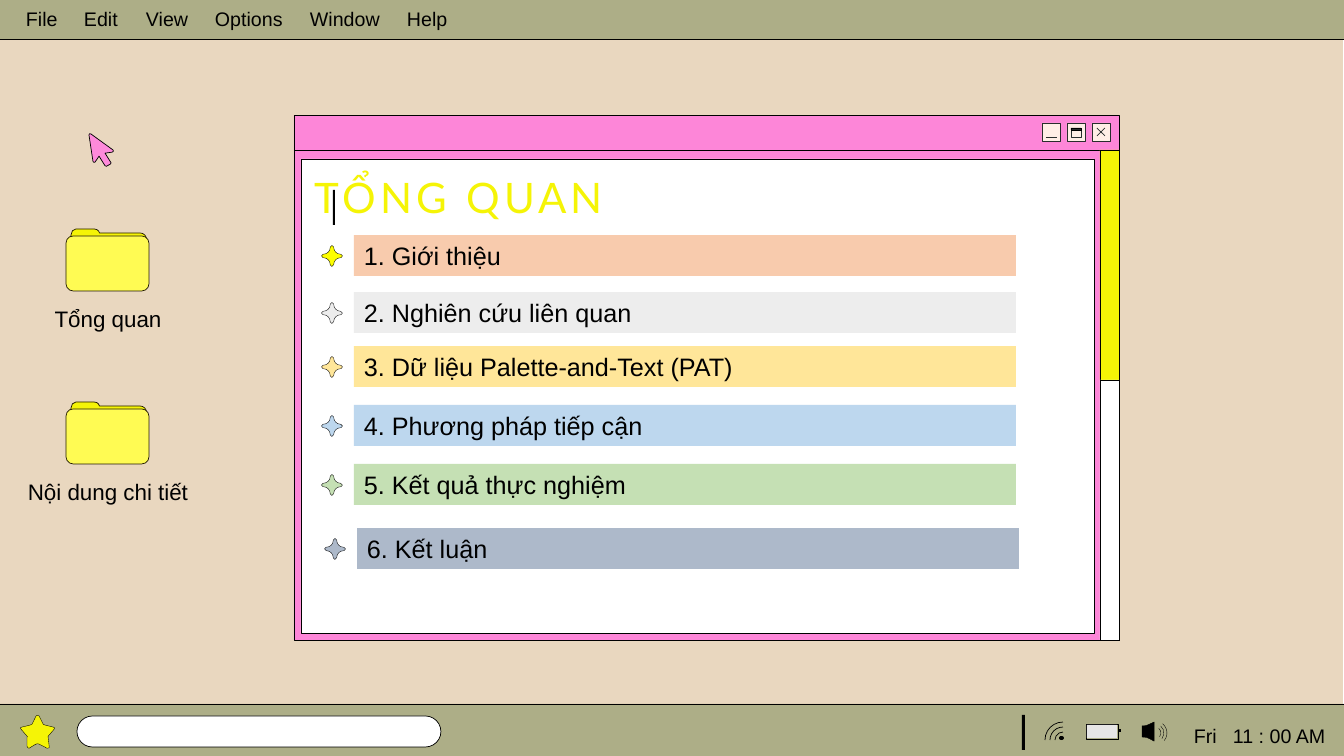
"""Builds the retro desktop slide with the agenda window."""
import pptx
import pptx.dml.color
import pptx.enum.shapes
import pptx.enum.text
import pptx.oxml
import pptx.oxml.ns
import pptx.util
from lxml import etree

RGBColor = pptx.dml.color.RGBColor
SHAPE = pptx.enum.shapes.MSO_SHAPE
ALIGN = pptx.enum.text.PP_ALIGN

PX = 12192000 / 1344
BLACK = RGBColor(0x00, 0x00, 0x00)
WHITE = RGBColor(0xFF, 0xFF, 0xFF)
SAND = RGBColor(0xE9, 0xD7, 0xBF)
OLIVE = RGBColor(0xAD, 0xAE, 0x87)
PINK = RGBColor(0xFD, 0x86, 0xD8)
CURSOR_PINK = RGBColor(0xFE, 0x8A, 0xDA)
YELLOW = RGBColor(0xF5, 0xF4, 0x06)
FOLDER_YELLOW = RGBColor(0xFF, 0xFB, 0x53)
FOLDER_EDGE = RGBColor(0x21, 0x19, 0x00)
BUTTON = RGBColor(0xFF, 0xEE, 0xE6)
GLYPH = RGBColor(0x29, 0x2D, 0x2D)
CHARGE = RGBColor(0xE7, 0xE6, 0xE6)
SPARK_YELLOW = RGBColor(0xFD, 0xFE, 0x00)
PEACH = RGBColor(0xF8, 0xCB, 0xAD)
PALE_GREY = RGBColor(0xED, 0xED, 0xED)
GOLD = RGBColor(0xFF, 0xE6, 0x99)
SKY = RGBColor(0xBD, 0xD7, 0xEE)
LEAF = RGBColor(0xC5, 0xE0, 0xB4)
SLATE = RGBColor(0xAD, 0xB9, 0xCA)

FOLDER_BACK = [
    (70, 0), (250, 0), ((270, 0), (290, 10), (295, 20)), (305, 40), (706, 40),
    ((750, 40), (776, 70), (776, 110)), (776, 515),
    ((776, 555), (746, 585), (706, 585)), (70, 585),
    ((30, 585), (0, 555), (0, 515)), (0, 110), ((0, 100), (0, 90), (10, 80)),
    (20, 70), (20, 60), ((20, 30), (40, 0), (70, 0))]
CURSOR = [
    (242, 171), (20, 10), ((10, 0), (0, 10), (0, 20)), (40, 282),
    ((40, 292), (50, 295), (60, 292)), (101, 232), (161, 328),
    ((165, 333), (170, 333), (175, 333)), (212, 312),
    ((222, 302), (222, 302), (222, 300)), (161, 202), (232, 192),
    ((242, 192), (246, 180), (242, 171))]
STAR = [
    (333, 121), (252, 101), ((242, 101), (232, 91), (232, 91)), (192, 10),
    ((181, 0), (161, 0), (161, 10)), (121, 91),
    ((111, 91), (111, 101), (101, 101)), (20, 121),
    ((0, 121), (0, 131), (10, 141)), (71, 212),
    ((71, 212), (81, 222), (71, 222)), (71, 312),
    ((71, 323), (81, 333), (91, 333)), (141, 302),
    ((181, 282), (171, 282), (212, 302)), (272, 333),
    ((292, 333), (302, 323), (292, 312)), (282, 222), (282, 212), (343, 141),
    ((353, 131), (343, 121), (333, 121))]
SPEAKER = [
    (121, 192), ((81, 182), (81, 151), (0, 151)), (0, 40),
    ((71, 40), (81, 10), (121, 0))]
SPARK_ARM = [
    ((-105, 10), (-97, 17), (-88, 17)), ((-45, 17), (-17, 50), (-17, 90)),
    ((-17, 100), (-9, 105), (0, 105))]
SPARKLE = [(-105, 0)] + SPARK_ARM + [
    tuple((x * cos + y * sin, y * cos - x * sin) for x, y in curve)
    for cos, sin in ((0, 1), (-1, 0), (0, -1)) for curve in SPARK_ARM]

AGENDA = [
    ("1. Giới thiệu", 354, 235, PEACH, SPARK_YELLOW),
    ("2. Nghiên cứu liên quan", 354, 292, PALE_GREY, PALE_GREY),
    ("3. Dữ liệu Palette-and-Text (PAT)", 354, 346, GOLD, GOLD),
    ("4. Phương pháp tiếp cận", 354, 405, SKY, SKY),
    ("5. Kết quả thực nghiệm", 354, 464, LEAF, LEAF),
    ("6. Kết luận", 357, 528, SLATE, SLATE)]


def px(length):
    return pptx.util.Emu(round(length * PX))


def paint(shape, fill, edge, weight):
    shape.shadow.inherit = False
    if fill is None:
        shape.fill.background()
    else:
        shape.fill.solid()
        shape.fill.fore_color.rgb = fill
    if edge is None:
        shape.line.fill.background()
    else:
        shape.line.color.rgb = edge
        shape.line.width = pptx.util.Pt(weight)
    return shape


def add_box(canvas, left, top, width, height, fill=None, edge=BLACK, weight=0.5, kind=SHAPE.RECTANGLE):
    box = canvas.add_shape(kind, px(left), px(top), px(width), px(height))
    return paint(box, fill, edge, weight)


def add_rule(canvas, x1, y1, x2, y2, color=BLACK, weight=0.5):
    rule = canvas.add_connector(pptx.enum.shapes.MSO_CONNECTOR.STRAIGHT, px(x1), px(y1), px(x2), px(y2))
    rule.line.color.rgb = color
    rule.line.width = pptx.util.Pt(weight)
    etree.SubElement(rule._element.spPr, pptx.oxml.ns.qn("a:effectLst"))


def add_outline(canvas, left, top, outline, fill, edge=BLACK, weight=0.5):
    """Draws lines and cubic curves given in tenths of a px."""
    parts = [part if isinstance(part[0], tuple) else (part,) for part in outline[1:]]
    builder = canvas.build_freeform(*outline[0], scale=PX / 10)
    builder.add_line_segments([point for part in parts for point in part], close=True)
    shape = paint(builder.convert_to_shape(px(left), px(top)), fill, edge, weight)
    segments = iter(list(shape._element.iter(pptx.oxml.ns.qn("a:lnTo"))))
    for part in parts:
        first, *others = [next(segments) for _ in part]
        if others:
            first.tag = pptx.oxml.ns.qn("a:cubicBezTo")
            for other in others:
                first.append(other[0])
                other.getparent().remove(other)


def add_arcs(canvas, center_x, center_y, radii, rotation, weight):
    for radius in radii:
        arc = add_box(canvas, center_x - radius, center_y - radius, 2 * radius, 2 * radius,
                      weight=weight, kind=SHAPE.ARC)
        arc.rotation = rotation


def write(shape, text, size, color=BLACK, font="Arial", align=ALIGN.LEFT, tabs=()):
    frame = shape.text_frame
    frame.word_wrap = True
    frame.vertical_anchor = pptx.enum.text.MSO_ANCHOR.MIDDLE
    paragraph = frame.paragraphs[0]
    paragraph.alignment = align
    if tabs:
        stops = etree.SubElement(paragraph._p.get_or_add_pPr(), pptx.oxml.ns.qn("a:tabLst"))
        for stop in tabs:
            etree.SubElement(stops, pptx.oxml.ns.qn("a:tab"), pos=str(px(stop)), algn="l")
    run = paragraph.add_run()
    run.text = text
    run.font.name = font
    run.font.size = pptx.util.Pt(size)
    run.font.color.rgb = color
    return run


def add_label(canvas, left, top, width, height, text, size, **style):
    label = canvas.add_textbox(px(left), px(top), px(width), px(height))
    return write(label, text, size, **style)


def add_folder(canvas, top, name):
    add_label(canvas, 10, top + 71, 196, 37, name, 16, align=ALIGN.CENTER)
    add_outline(canvas, 69, top, FOLDER_BACK, YELLOW, FOLDER_EDGE)
    front = add_box(canvas, 66, top + 7, 83, 55, FOLDER_YELLOW, FOLDER_EDGE, kind=SHAPE.ROUNDED_RECTANGLE)
    front.adjustments[0] = 0.13


def add_window(canvas):
    add_box(canvas, 294, 115, 825, 525, PINK)
    add_rule(canvas, 294, 150, 1119, 150)
    add_rule(canvas, 1100, 640, 1100, 150)
    add_box(canvas, 301, 159, 793, 474, WHITE)
    add_box(canvas, 1100, 150, 19, 230, YELLOW)
    add_box(canvas, 1100, 380, 19, 260, WHITE)
    for left in (1042, 1067, 1092):
        add_box(canvas, left, 123, 18, 18, BUTTON, GLYPH)
    add_rule(canvas, 1046, 137, 1057, 137, GLYPH)
    add_box(canvas, 1071, 128, 10, 9, edge=GLYPH)
    add_box(canvas, 1071, 128, 10, 2, GLYPH)
    add_rule(canvas, 1097, 128, 1105, 136, GLYPH)
    add_rule(canvas, 1105, 128, 1097, 136, GLYPH)


def add_menu_bar(canvas):
    add_box(canvas, -7, -10, 1353, 49, OLIVE)
    menu = add_box(canvas, -16, 2, 506, 34, OLIVE, None)
    menu.text_frame.margin_left = px(42)
    write(menu, "File\tEdit\tView\tOptions\tWindow\tHelp", 14, tabs=(58, 120, 189, 284, 381))


def add_taskbar(canvas):
    add_box(canvas, -1, 704, 1347, 55, OLIVE)
    add_outline(canvas, 20, 715, STAR, YELLOW, weight=0.25)
    search = add_box(canvas, 77, 716, 364, 31, WHITE, kind=SHAPE.ROUNDED_RECTANGLE)
    search.adjustments[0] = 0.5
    add_label(canvas, 1184, 719, 160, 34, "Fri\t11 : 00 AM", 14, tabs=(39,))
    add_arcs(canvas, 1063, 740, (8, 13, 18), 270, 0.5)
    add_box(canvas, 1059, 736, 5, 4, BLACK, None, kind=SHAPE.OVAL)
    add_outline(canvas, 1142, 722, SPEAKER, BLACK, weight=0.25)
    add_arcs(canvas, 1155, 733, (6, 9, 12), 39.5, 0.25)
    add_box(canvas, 1086, 724, 32, 15)
    add_box(canvas, 1087, 725, 30, 13, CHARGE, None)
    add_rule(canvas, 1120, 729, 1120, 732, weight=1.5)
    add_box(canvas, 1022, 715, 3, 35, BLACK, None)


def add_title(canvas):
    title = add_label(canvas, 305, 166, 488, 61, "TỔNG QUAN", 30, color=YELLOW, font="Lato")
    properties = title.font._element
    properties.set("spc", "300")
    properties.insert(0, pptx.oxml.parse_xml(
        f'<a:ln {pptx.oxml.ns.nsdecls("a")} w="3175"><a:solidFill>'
        f'<a:srgbClr val="{BLACK}"/></a:solidFill></a:ln>'))
    add_box(canvas, 333, 190, 2, 35, BLACK, None)


def add_agenda_item(canvas, text, left, top, color, spark_color):
    add_outline(canvas, left - 22, top + 21, SPARKLE, spark_color, weight=0.25)
    write(add_box(canvas, left, top, 662, 41, color, None), text, 18)


def main():
    deck = pptx.Presentation()
    deck.slide_width, deck.slide_height = px(1344), px(756)
    desktop = deck.slides.add_slide(deck.slide_layouts[6]).shapes
    add_box(desktop, -1, 17, 1344, 756, SAND, None)
    for top, name in ((229, "Tổng quan"), (402, "Nội dung chi tiết")):
        add_folder(desktop.add_group_shape().shapes, top, name)
    add_window(desktop.add_group_shape().shapes)
    add_menu_bar(desktop.add_group_shape().shapes)
    add_outline(desktop, 89, 133, CURSOR, CURSOR_PINK)
    add_taskbar(desktop.add_group_shape().shapes)
    add_title(desktop)
    for item in AGENDA:
        add_agenda_item(desktop.add_group_shape().shapes, *item)
    deck.save("out.pptx")


if __name__ == "__main__":
    main()
